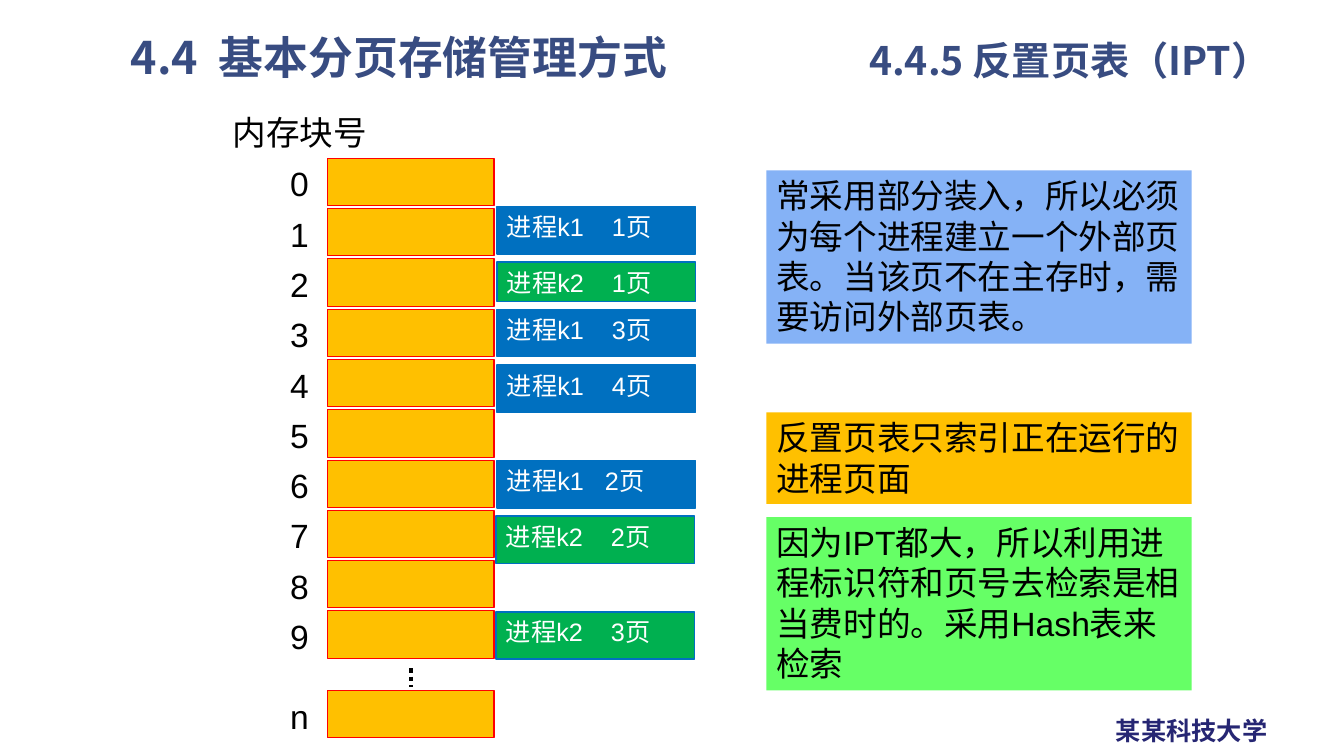
from lxml import etree
from pptx import Presentation
from pptx.dml.color import RGBColor
from pptx.enum.dml import MSO_LINE
from pptx.enum.shapes import MSO_CONNECTOR, MSO_SHAPE
from pptx.enum.text import MSO_ANCHOR, PP_ALIGN
from pptx.oxml.ns import qn
from pptx.util import Inches, Pt

BLACK = RGBColor(0x00, 0x00, 0x00)
WHITE = RGBColor(0xFF, 0xFF, 0xFF)
RED = RGBColor(0xFF, 0x00, 0x00)
AMBER = RGBColor(0xFF, 0xC0, 0x00)
BLUE = RGBColor(0x00, 0x70, 0xC0)
GREEN = RGBColor(0x00, 0xB0, 0x50)
SKY = RGBColor(0x85, 0xB2, 0xF6)
LIME = RGBColor(0x66, 0xFF, 0x66)
NAVY = RGBColor(0x26, 0x26, 0x73)
INDIGO = RGBColor(0x38, 0x4C, 0x81)
LATIN, CJK = "Arial", "Noto Sans CJK SC"


def write(sp, text, size, color=BLACK, bold=False, font=LATIN, wrap=True, spacing=None):
    tf = sp.text_frame
    tf.word_wrap = wrap
    tf.vertical_anchor = MSO_ANCHOR.TOP
    p = tf.paragraphs[0]
    p.alignment = PP_ALIGN.LEFT
    p.line_spacing = spacing
    r = p.add_run()
    r.text = text
    for name, value in {"name": font, "size": Pt(size), "bold": bold}.items():
        setattr(r.font, name, value)
    r.font.color.rgb = color
    etree.SubElement(r.font._element, qn("a:ea")).set("typeface", CJK)


def add_box(left, top, width, height, fill, line=None, line_width=1):
    sp = s.shapes.add_shape(MSO_SHAPE.RECTANGLE, Inches(left), Inches(top),
                            Inches(width), Inches(height))
    sp.shadow.inherit = False
    sp.fill.solid()
    sp.fill.fore_color.rgb = fill
    if line is None:
        sp.line.fill.background()
    else:
        sp.line.color.rgb = line
        sp.line.width = Pt(line_width)
    return sp


prs = Presentation()
prs.slide_width, prs.slide_height = Inches(13.33), Inches(7.5)
s = prs.slides.add_slide(prs.slide_layouts[5])

# Titles
title = s.shapes.title
places = {"left": 8.52, "top": 0.36, "width": 4.66, "height": 0.71}
for name, value in places.items():
    setattr(title, name, Inches(value))
write(title, "4.4.5 反置页表（IPT）", 28, INDIGO, True, CJK, spacing=0.9)
chapter = s.shapes.add_textbox(Inches(1.2), Inches(0.31), Inches(5.73), Inches(0.6))
write(chapter, "4.4  基本分页存储管理方式", 32, INDIGO, True, CJK, spacing=0.9)

# School name
school = s.shapes.add_textbox(Inches(10.97), Inches(7.05), Inches(1.72), Inches(0.4))
write(school, "某某科技大学", 18, NAVY, True, wrap=False)

# Memory blocks with their numbers
write(add_box(2.21, 1.06, 1.55, 0.5, WHITE), "内存块号", 24, wrap=False)
FIRST, STEP = 1.57, 0.499
blocks = [(str(i), FIRST + i * STEP) for i in range(10)] + [("n", 6.85)]
for number, top in blocks:
    add_box(3.25, top, 1.65, 0.47, AMBER, RED, 0.75)
    label = s.shapes.add_textbox(Inches(2.78), Inches(top), Inches(0.41), Inches(0.5))
    write(label, number, 24)

# Pages held in the blocks
pages = [
    (4.93, 2.05, 0.47, BLUE, "进程k1    1页"),
    (4.93, 3.07, 0.47, BLUE, "进程k1    3页"),
    (4.93, 3.62, 0.47, BLUE, "进程k1    4页"),
    (4.93, 4.57, 0.47, BLUE, "进程k1   2页"),
    (4.93, 2.6, 0.39, GREEN, "进程k2    1页"),
    (4.92, 5.12, 0.47, GREEN, "进程k2    2页"),
    (4.92, 6.07, 0.47, GREEN, "进程k2    3页"),
]
for left, top, height, fill, text in pages:
    write(add_box(left, top, 1.97, height, fill, BLUE), text, 18, WHITE)

# Dots for the blocks left out
dots = s.shapes.add_connector(MSO_CONNECTOR.STRAIGHT, Inches(4.08), Inches(6.63),
                              Inches(4.08), Inches(6.82))
dots.line.color.rgb = BLACK
dots.line.width = Pt(3)
dots.line.dash_style = MSO_LINE.ROUND_DOT
etree.SubElement(dots._element.spPr, qn("a:effectLst"))

# Remarks
remarks = [
    (1.69, 1.72, SKY, "常采用部分装入，所以必须为每个进程建立一个外部页表。当该页不在主存时，需要访问外部页表。"),
    (4.09, 0.91, AMBER, "反置页表只索引正在运行的进程页面"),
    (5.13, 1.72, LIME, "因为IPT都大，所以利用进程标识符和页号去检索是相当费时的。采用Hash表来检索"),
]
for top, height, fill, text in remarks:
    write(add_box(7.6, top, 4.22, height, fill), text, 24)

prs.save("out.pptx")
